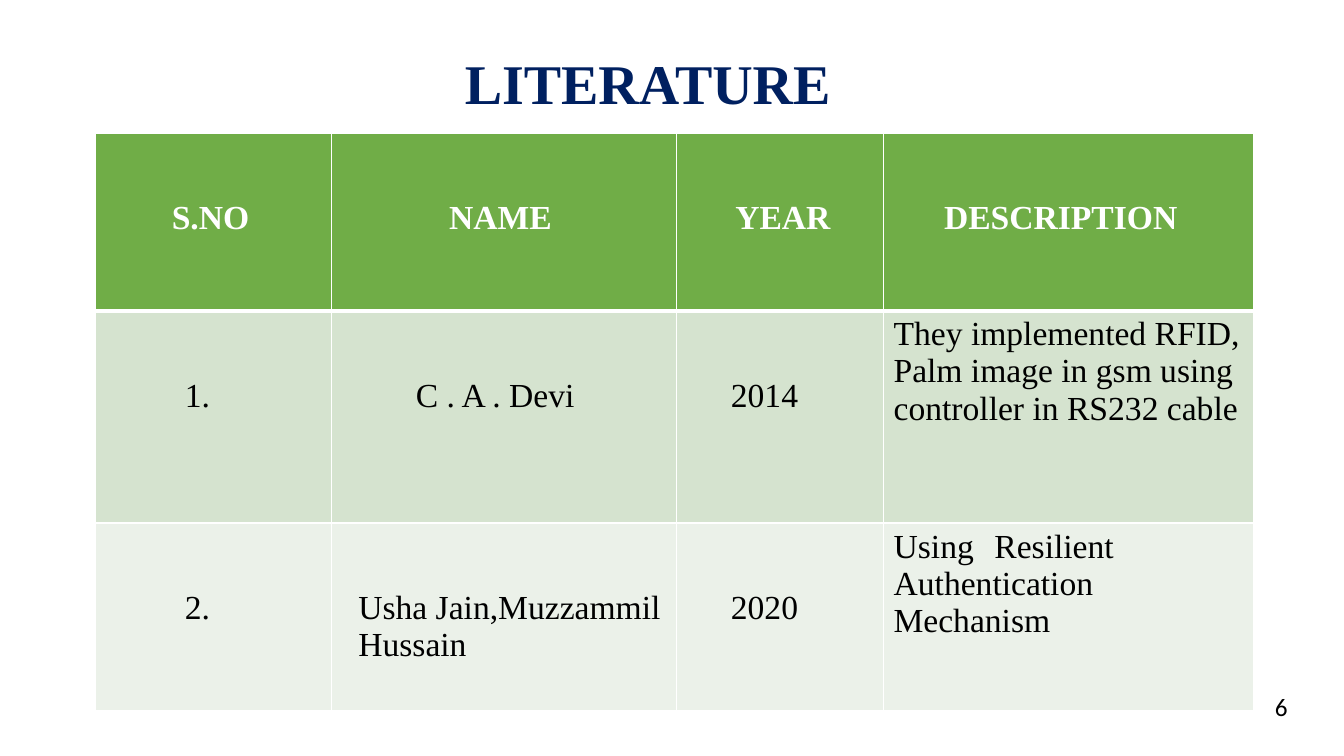
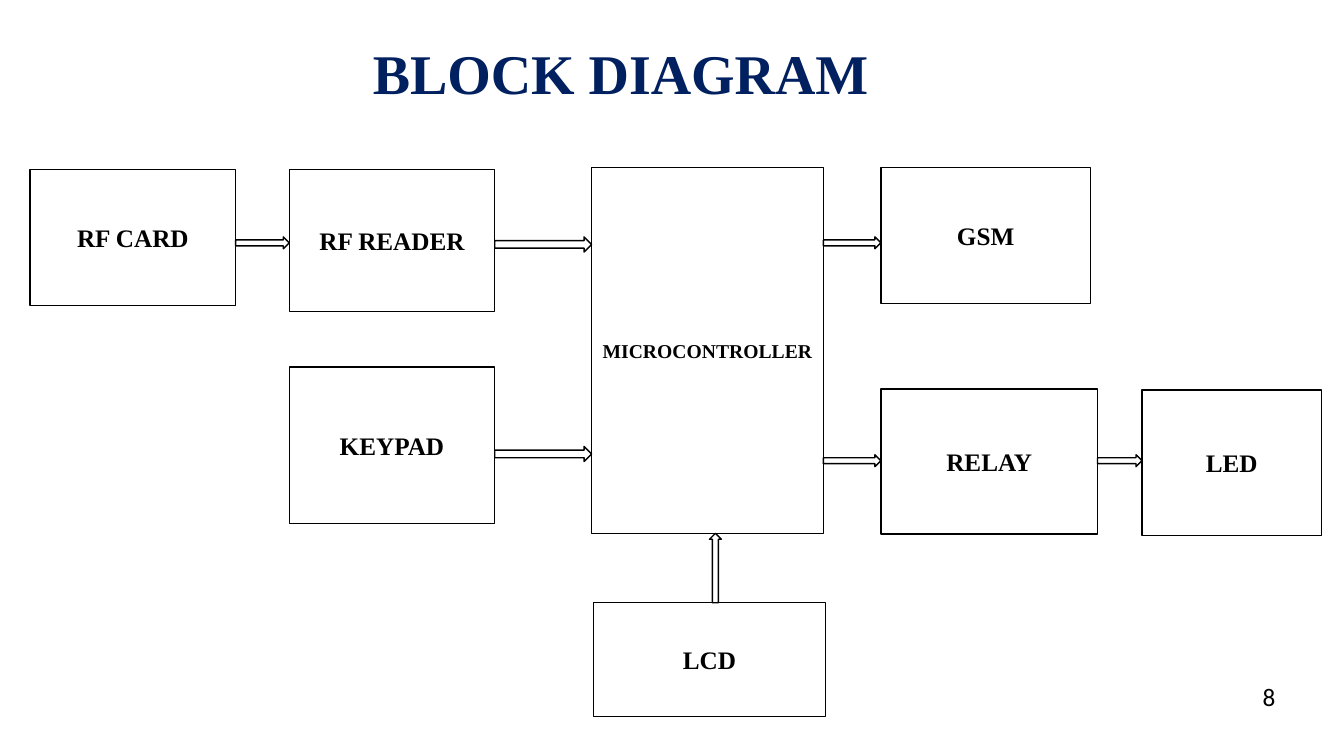
from pptx import Presentation
from pptx.dml.color import RGBColor
from pptx.enum import shapes, text
from pptx.oxml import parse_xml
from pptx.oxml.ns import nsdecls
from pptx.util import Cm, Pt

COLORS = {
    "title": "002060",
    "ink": "000000",
    "paper": "FFFFFF",
    "header": "70AD47",
    "odd_row": "D5E3CF",
    "even_row": "EBF1E9",
}
SERIF = "Times New Roman"
SANS = "Calibri"
SHAPE = shapes.MSO_SHAPE

COLUMN_WIDTHS = [5.94, 8.69, 5.23, 9.32]
ROW_HEIGHTS = [4.47, 5.35, 4.73]
ROW_FILLS = ["header", "odd_row", "even_row"]
LOWERED = 1.68
RAISED = 0.13
LITERATURE = [
    [("S.NO", 1.92, LOWERED), ("NAME", 2.97, LOWERED),
     ("YEAR", 1.49, LOWERED), ("DESCRIPTION", 1.52, LOWERED)],
    [("1.", 2.25, LOWERED), ("C . A . Devi", 2.13, LOWERED), ("2014", 1.38, LOWERED),
     ("They implemented RFID,\nPalm image in gsm using\ncontroller in RS232 cable", 0.25, RAISED)],
    [("2.", 2.25, LOWERED), ("Usha Jain,Muzzammil\nHussain", 0.68, LOWERED), ("2020", 1.38, LOWERED),
     ("Using\tResilient Authentication Mechanism", 0.25, RAISED)],
]

BLOCKS = {
    "RF CARD": (0.76, 4.27, 5.18, 3.43),
    "RF READER": (7.29, 4.27, 5.18, 3.58),
    "KEYPAD": (7.29, 9.25, 5.18, 3.94),
    "MICROCONTROLLER": (14.91, 4.22, 5.84, 9.22),
    "GSM": (22.2, 4.22, 5.28, 3.43),
    "RELAY": (22.2, 9.8, 5.46, 3.66),
    "LED": (28.78, 9.83, 4.52, 3.66),
    "LCD": (14.96, 15.19, 5.84, 2.87),
}
THIN, THICK = 0.3, 0.38
FLOWS = [
    ("RF CARD", "RF READER", 5.97, THIN),
    ("RF READER", "MICROCONTROLLER", 5.97, THICK),
    ("KEYPAD", "MICROCONTROLLER", 11.25, THICK),
    ("MICROCONTROLLER", "GSM", 5.97, THIN),
    ("MICROCONTROLLER", "RELAY", 11.46, THIN),
    ("RELAY", "LED", 11.46, THIN),
]


def color(name):
    return RGBColor.from_string(COLORS[name])


def format_text(frame, size, ink, font=SERIF, bold=False, align=text.PP_ALIGN.LEFT):
    for paragraph in frame.paragraphs:
        paragraph.alignment = align
        for run in paragraph.runs:
            run.font.name = font
            run.font.size = Pt(size)
            run.font.bold = bold
            run.font.color.rgb = color(ink)


def add_titled_slide(deck, heading, box, number, number_corner):
    slide = deck.slides.add_slide(deck.slide_layouts[5])
    title = slide.shapes.title
    title.left, title.top, title.width, title.height = map(Cm, box)
    title.text_frame.text = heading
    title.text_frame.auto_size = text.MSO_AUTO_SIZE.NONE
    title.text_frame.vertical_anchor = text.MSO_ANCHOR.TOP
    format_text(title.text_frame, 40, "title", bold=True)

    page = slide.shapes.add_textbox(*map(Cm, number_corner), Cm(1.98), Cm(1.02)).text_frame
    page.word_wrap = True
    page.text = number
    format_text(page, 18, "ink", font=SANS)
    return slide


def set_borders(cell, widths):
    properties = cell._tc.get_or_add_tcPr()
    for index, (side, width) in enumerate(widths.items()):
        properties.insert(index, parse_xml(
            f'<a:{side} {nsdecls("a")} w="{Pt(width)}"><a:solidFill>'
            f'<a:srgbClr val="{COLORS["paper"]}"/></a:solidFill></a:{side}>'))


def fill_cell(cell, content, row):
    words, left, top = content
    is_header = row == 0
    cell.margin_left, cell.margin_right = Cm(left), Cm(0.1)
    cell.margin_top, cell.margin_bottom = Cm(top), Cm(0.13)
    cell.vertical_anchor = text.MSO_ANCHOR.TOP
    cell.text_frame.text = words
    format_text(cell.text_frame, 24, "paper" if is_header else "ink", bold=is_header)
    cell.fill.solid()
    cell.fill.fore_color.rgb = color(ROW_FILLS[row])
    set_borders(cell, {"lnL": 1, "lnR": 1, "lnT": 3 if row == 1 else 1,
                       "lnB": 3 if is_header else 1})


def add_literature_table(slide):
    table = slide.shapes.add_table(
        len(ROW_HEIGHTS), len(COLUMN_WIDTHS), Cm(2.41), Cm(3.36),
        Cm(sum(COLUMN_WIDTHS)), Cm(sum(ROW_HEIGHTS))).table
    table.first_row = table.horz_banding = False
    for column, width in zip(table.columns, COLUMN_WIDTHS):
        column.width = Cm(width)
    for row, height in enumerate(ROW_HEIGHTS):
        table.rows[row].height = Cm(height)
        for column, content in enumerate(LITERATURE[row]):
            fill_cell(table.cell(row, column), content, row)


def add_outlined(slide, kind, box):
    outlined = slide.shapes.add_shape(kind, *map(Cm, box))
    outlined.shadow.inherit = False
    outlined.fill.solid()
    outlined.fill.fore_color.rgb = color("paper")
    outlined.line.color.rgb = color("ink")
    outlined.line.width = Pt(1)
    return outlined


def add_block(slide, label, box):
    is_core = label == "MICROCONTROLLER"
    kind = SHAPE.ACTION_BUTTON_CUSTOM if is_core else SHAPE.RECTANGLE
    frame = add_outlined(slide, kind, box).text_frame
    frame.margin_left = frame.margin_right = Cm(0.1)
    frame.vertical_anchor = text.MSO_ANCHOR.MIDDLE
    frame.text = label
    format_text(frame, 14 if is_core else 18, "ink", bold=True, align=text.PP_ALIGN.CENTER)


def add_flow(slide, source, target, top, thickness):
    left, _, width, _ = BLOCKS[source]
    start = left + width
    add_outlined(slide, SHAPE.RIGHT_ARROW, (start, top, BLOCKS[target][0] - start, thickness))


def add_display_flow(slide):
    _, top, _, height = BLOCKS["MICROCONTROLLER"]
    end = top + height
    add_outlined(slide, SHAPE.UP_ARROW, (17.88, end, THIN, BLOCKS["LCD"][1] - end))


def main():
    deck = Presentation()
    deck.slide_width, deck.slide_height = Cm(33.87), Cm(19.05)

    literature = add_titled_slide(deck, "LITERATURE", (11.46, 1.09, 14.38, 1.96),
                                  "6", (31.88, 17.3))
    add_literature_table(literature)

    diagram = add_titled_slide(deck, "BLOCK DIAGRAM", (9.14, 0.84, 13.36, 1.96),
                               "8", (31.57, 17.04))
    for label, box in BLOCKS.items():
        add_block(diagram, label, box)
    for flow in FLOWS:
        add_flow(diagram, *flow)
    add_display_flow(diagram)

    deck.save("out.pptx")


if __name__ == "__main__":
    main()
